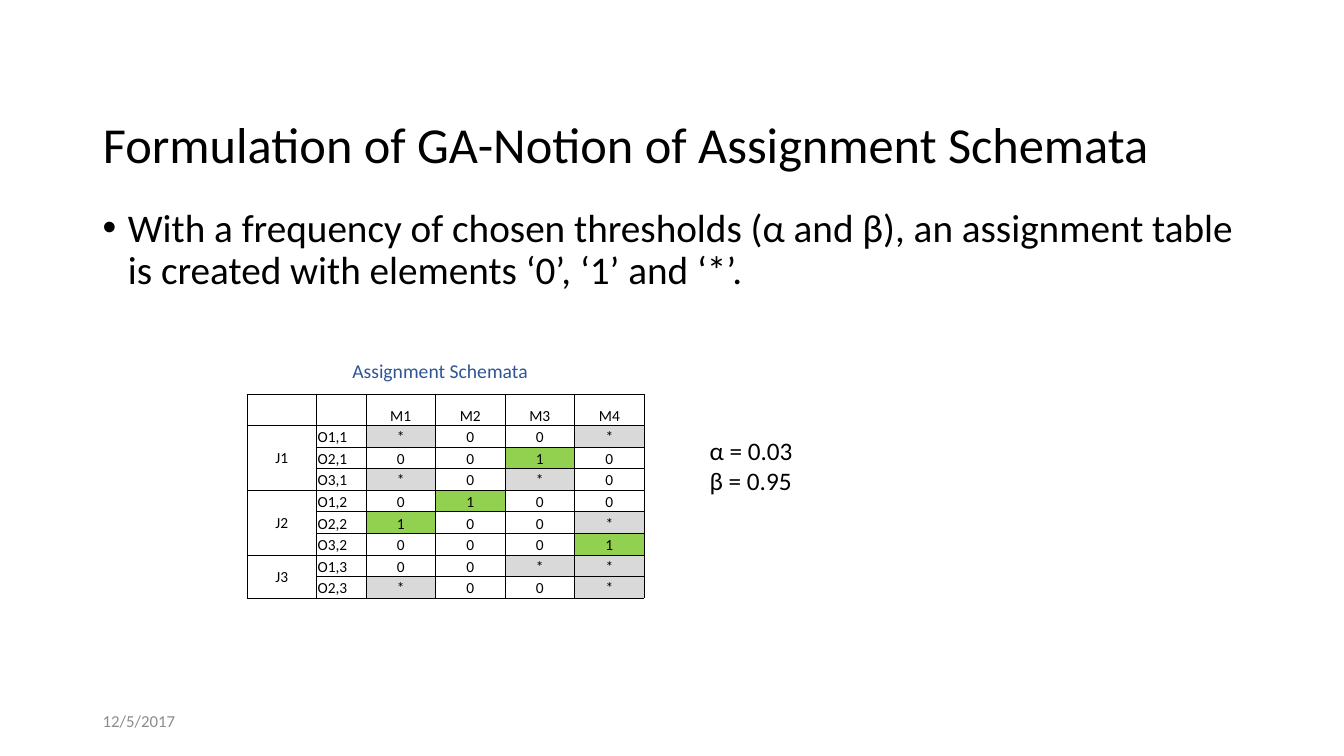
from pptx import Presentation
from pptx.dml.color import RGBColor
from pptx.enum import text
from pptx.oxml import parse_xml
from pptx.oxml.ns import nsdecls
from pptx.util import Inches, Pt

COLORS = {"ink": "000000", "paper": "FFFFFF", "caption": "2F5597",
          "date": "8C8C8C", "*": "D9D9D9", "1": "92D050"}
LEFT, CENTER = text.PP_ALIGN.LEFT, text.PP_ALIGN.CENTER
MIDDLE, BOTTOM = text.MSO_ANCHOR.MIDDLE, text.MSO_ANCHOR.BOTTOM
MACHINES = ["M1", "M2", "M3", "M4"]
JOBS = {"J1": ["*00*", "0010", "*0*0"],
        "J2": ["0100", "100*", "0001"],
        "J3": ["00**", "*00*"]}


def add_run(p, words, size, color="ink", align=LEFT):
    """Add one formatted run to a paragraph."""
    p.alignment = align
    r = p.add_run()
    r.text = words
    r.font.name, r.font.size = "Calibri", Pt(size)
    r.font.color.rgb = RGBColor.from_string(COLORS[color])


def add_title(s, box, words):
    """Place and format the title placeholder."""
    sp = s.shapes.title
    sp.left, sp.top, sp.width, sp.height = map(Inches, box)
    tf = sp.text_frame
    tf.vertical_anchor = MIDDLE
    p = tf.paragraphs[0]
    p.line_spacing = 0.9
    add_run(p, words, 36)


def add_text(s, box, lines, size, color="ink", align=LEFT, anchor=text.MSO_ANCHOR.TOP):
    """Add a wrapping text box with one paragraph per line and return its frame."""
    tf = s.shapes.add_textbox(*map(Inches, box)).text_frame
    tf.word_wrap, tf.vertical_anchor = True, anchor
    for i, line in enumerate(lines):
        p = tf.add_paragraph() if i else tf.paragraphs[0]
        add_run(p, line, size, color, align)
    return tf


def add_bullet(s, box, words):
    """Add the bulleted statement."""
    p = add_text(s, box, [words], 28).paragraphs[0]
    p.line_spacing, p.space_before = 0.9, Pt(10)
    pPr = p._p.get_or_add_pPr()
    pPr.set("marL", str(Inches(0.25)))
    pPr.set("indent", str(Inches(-0.25)))
    pPr.append(parse_xml(f'<a:buFont {nsdecls("a")} typeface="Arial"/>'))
    pPr.append(parse_xml(f'<a:buChar {nsdecls("a")} char="•"/>'))


def format_cell(cell, words, align, anchor):
    """Write a table cell with its fill and thin borders."""
    cell.margin_left = cell.margin_right = cell.margin_top = Inches(0.01)
    cell.margin_bottom = 0
    cell.vertical_anchor = anchor
    add_run(cell.text_frame.paragraphs[0], words, 11, align=align)
    tcPr = cell._tc.get_or_add_tcPr()
    for side in ("lnL", "lnR", "lnT", "lnB"):
        tcPr.append(parse_xml(
            f'<a:{side} {nsdecls("a")} w="{Pt(0.5)}"><a:solidFill>'
            f'<a:srgbClr val="{COLORS["ink"]}"/></a:solidFill></a:{side}>'))
    cell.fill.solid()
    cell.fill.fore_color.rgb = RGBColor.from_string(COLORS.get(words, COLORS["paper"]))


def add_schemata(s, box):
    """Add the assignment table with one merged label per job."""
    rows = [["", "", *MACHINES]]
    for job, schemata in JOBS.items():
        for i, genes in enumerate(schemata, 1):
            rows.append([job if i == 1 else "", f"O{i},{job[1:]}", *genes])
    table = s.shapes.add_table(len(rows), len(rows[0]), *map(Inches, box)).table
    table.first_row = table.horz_banding = False
    for c, column in enumerate(table.columns):
        column.width = Inches(0.49 if c == 1 else 0.69)
    for r, values in enumerate(rows):
        for c, value in enumerate(values):
            format_cell(table.cell(r, c), value, LEFT if c == 1 else CENTER,
                        BOTTOM if c else MIDDLE)
    top = 1
    for schemata in JOBS.values():
        table.cell(top, 0).merge(table.cell(top + len(schemata) - 1, 0))
        top += len(schemata)


def build_slide(prs):
    """Build the assignment schemata slide."""
    s = prs.slides.add_slide(prs.slide_layouts[5])
    add_title(s, (0.92, 1.08, 11.5, 0.77), "Formulation of GA-Notion of Assignment Schemata")
    add_bullet(s, (0.92, 2.02, 11.5, 1.1),
               "With a frequency of chosen thresholds (α and β), an assignment table "
               "is created with elements ‘0’, ‘1’ and ‘*’.")
    add_text(s, (0.92, 6.95, 3, 0.4), ["12/5/2017"], 12, "date", anchor=MIDDLE)
    add_schemata(s, (2.45, 3.91, 3.94, 1.93))
    add_text(s, (6.94, 4.27, 1.1, 0.71), ["α = 0.03", "β = 0.95"], 18)
    add_text(s, (2.39, 3.51, 3.95, 0.34), ["Assignment Schemata"], 14, "caption", CENTER)


prs = Presentation()
prs.slide_width, prs.slide_height = Inches(13.33), Inches(7.5)
build_slide(prs)
prs.save("out.pptx")
